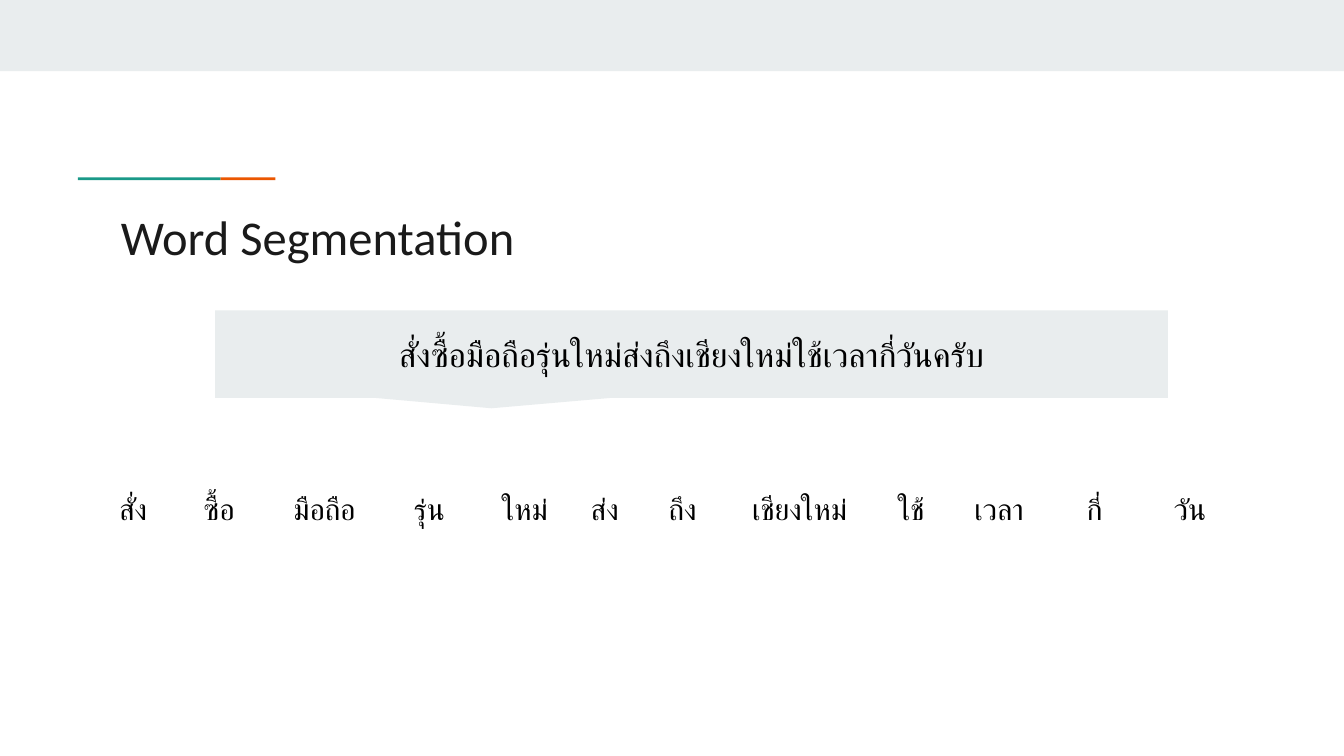
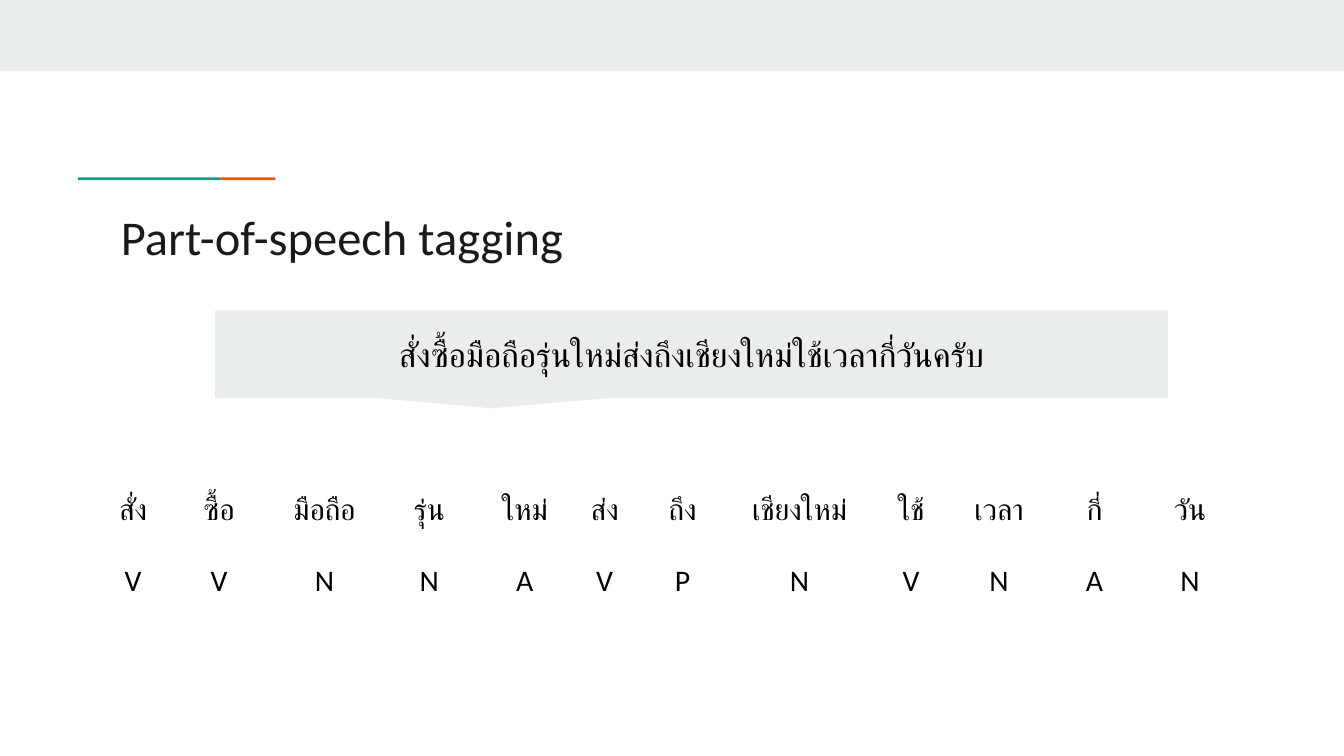
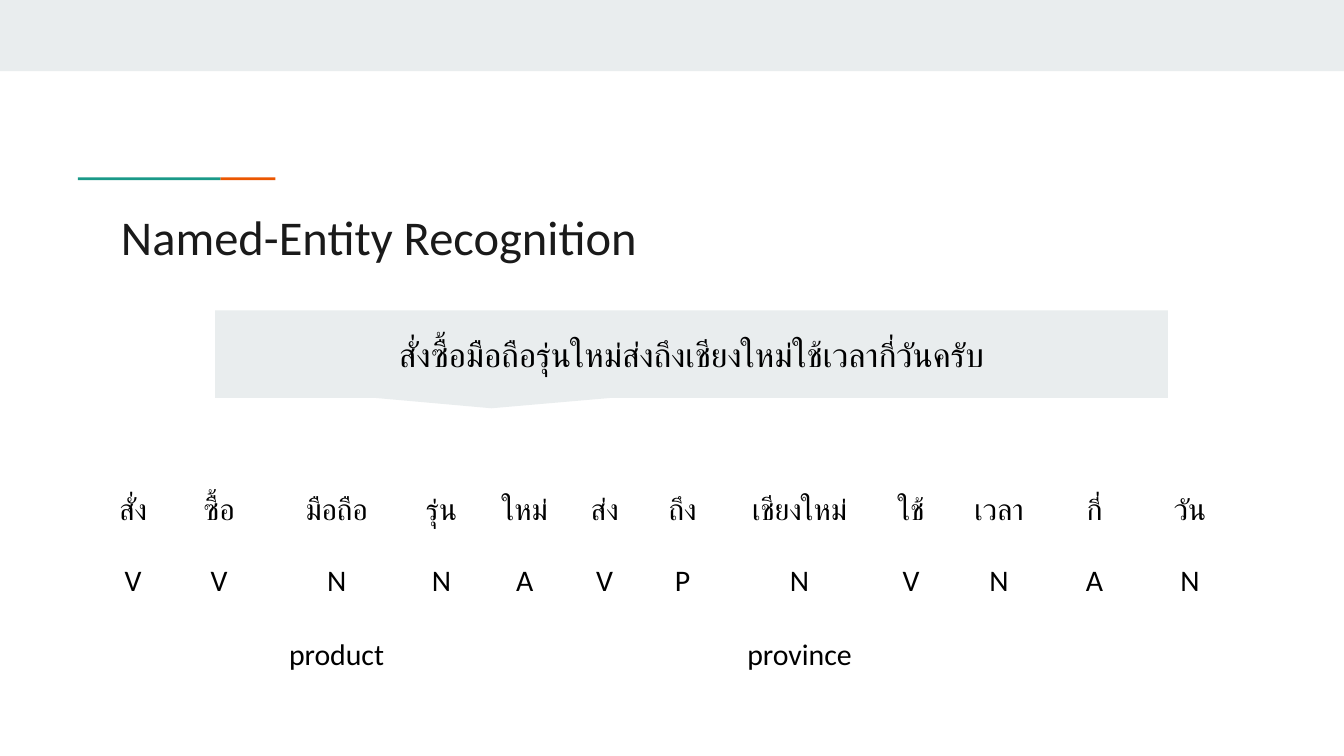
from lxml import etree
from pptx import Presentation
from pptx.dml.color import RGBColor
from pptx.enum import shapes, text
from pptx.oxml import ns
from pptx.util import Inches, Pt

FONT = "Calibri"
INK, BLACK, MIST, TEAL, ORANGE = "1A1A1A", "000000", "E9EDEE", "1A9988", "EB5600"

SENTENCE = "สั่งซื้อมือถือรุ่นใหม่ส่งถึงเชียงใหม่ใช้เวลากี่วันครับ"
WORDS = ["สั่ง", "ซื้อ", "มือถือ", "รุ่น", "ใหม่", "ส่ง", "ถึง", "เชียงใหม่", "ใช้", "เวลา", "กี่", "วัน"]
TAGS = list("VVNNAVPNVNAN")
BLANKS = [""] * len(WORDS)
ENTITIES = [{2: "product", 7: "province"}.get(i, "") for i in range(len(WORDS))]

WIDTHS = [0.56, 0.72, 0.85, 0.71, 0.71, 0.48, 0.68, 1.06, 0.6, 0.71, 0.71, 0.71]
ENTITY_WIDTHS = WIDTHS[:2] + [1.03, 0.53] + WIDTHS[4:]

SLIDES = [
    ("Word Segmentation", [WORDS, BLANKS], WIDTHS),
    ("Part-of-speech tagging", [WORDS, TAGS], WIDTHS),
    ("Named-Entity Recognition", [WORDS, TAGS, ENTITIES], ENTITY_WIDTHS),
]

BARS = [
    (0, 0, 10, 0.53, MIST),
    (1.64, 1.32, 0.41, 0.02, ORANGE),
    (0.58, 1.32, 1.06, 0.02, TEAL),
]


def rgb(value):
    return RGBColor.from_string(value)


def inches(*lengths):
    return [Inches(length) for length in lengths]


def set_margins(holder):
    holder.margin_left = holder.margin_right = Inches(0.1)
    holder.margin_top = holder.margin_bottom = Inches(0.1)


def style(paragraph, size, color, align):
    paragraph.alignment = align
    font = paragraph.font
    font.name, font.size, font.bold = FONT, Pt(size), False
    font.color.rgb = rgb(color)
    defaults = paragraph._p.pPr.find(ns.qn("a:defRPr"))
    etree.SubElement(defaults, ns.qn("a:cs"), typeface=FONT)


def add_filled(slide, kind, place, color):
    shape = slide.shapes.add_shape(kind, *inches(*place))
    shape.shadow.inherit = False
    shape.fill.solid()
    shape.fill.fore_color.rgb = rgb(color)
    shape.line.fill.background()
    return shape


def add_title(slide, wording):
    title = slide.shapes.title
    title.left, title.top, title.width, title.height = inches(0.8, 1.44, 8.41, 0.59)
    frame = title.text_frame
    frame.text = wording
    frame.vertical_anchor = text.MSO_ANCHOR.TOP
    frame.auto_size = text.MSO_AUTO_SIZE.NONE
    set_margins(frame)
    style(frame.paragraphs[0], 26, INK, text.PP_ALIGN.LEFT)


def add_words(slide, rows, widths):
    heights = [0.5] + [0.55] * (len(rows) - 1)
    place = inches(0.71, 3.55, sum(widths), sum(heights))
    table = slide.shapes.add_table(len(rows), len(widths), *place).table
    table.first_row = table.horz_banding = False
    for column, width in zip(table.columns, widths):
        column.width = Inches(width)
    for row, height, entries in zip(table.rows, heights, rows):
        row.height = Inches(height)
        for cell, entry in zip(row.cells, entries):
            cell.text = entry
            cell.fill.background()
            cell.vertical_anchor = text.MSO_ANCHOR.MIDDLE
            set_margins(cell)
            style(cell.text_frame.paragraphs[0], 16, BLACK, text.PP_ALIGN.CENTER)


def add_sentence(slide):
    callout = add_filled(slide, shapes.MSO_SHAPE.ROUNDED_RECTANGULAR_CALLOUT, (1.6, 2.31, 7.09, 0.65), MIST)
    for i, value in enumerate((-0.21, 0.62, 0)):
        callout.adjustments[i] = value
    frame = callout.text_frame
    frame.text = SENTENCE
    frame.word_wrap = True
    frame.vertical_anchor = text.MSO_ANCHOR.MIDDLE
    set_margins(frame)
    style(frame.paragraphs[0], 18, BLACK, text.PP_ALIGN.CENTER)


def main():
    deck = Presentation()
    deck.slide_width = Inches(10)
    deck.slide_height = deck.slide_width * 9 // 16
    for title, rows, widths in SLIDES:
        slide = deck.slides.add_slide(deck.slide_layouts[5])
        for *place, color in BARS:
            add_filled(slide, shapes.MSO_SHAPE.RECTANGLE, place, color)
        add_title(slide, title)
        add_words(slide, rows, widths)
        add_sentence(slide)
    deck.save("out.pptx")


if __name__ == "__main__":
    main()
